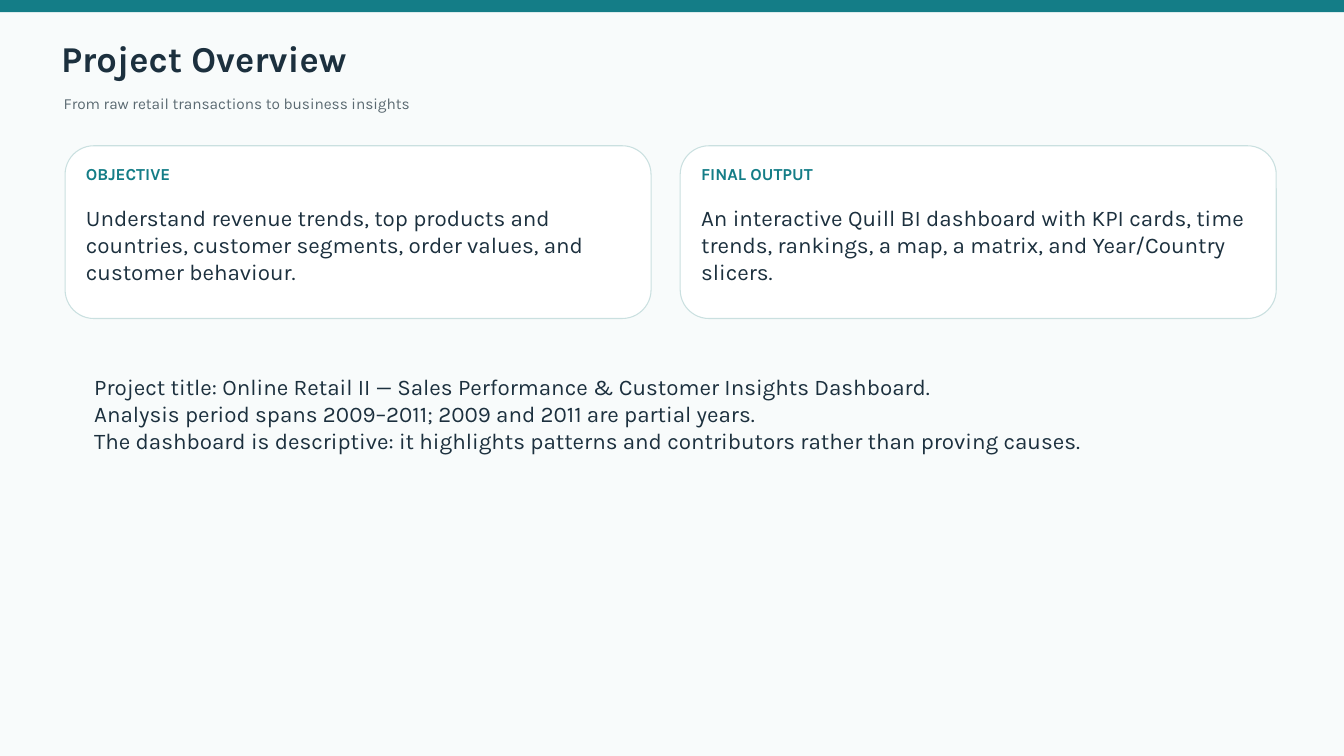
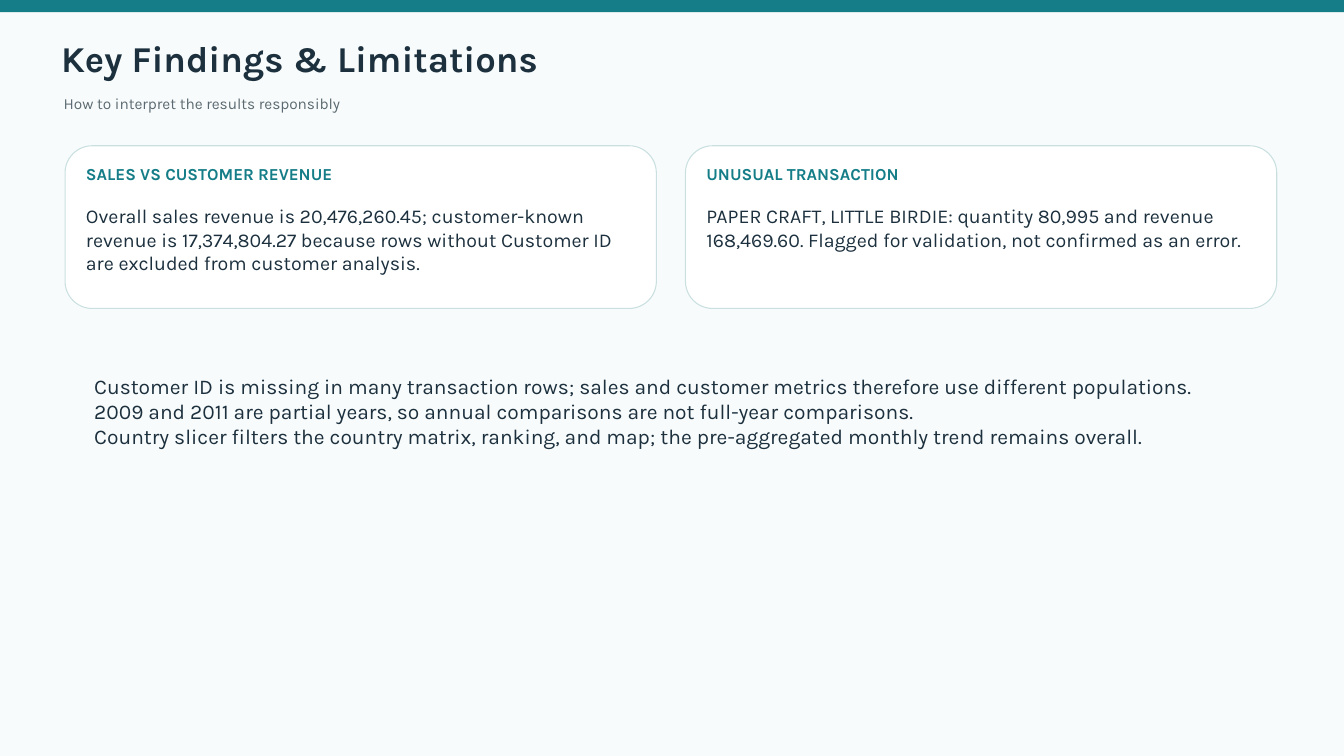
"""Build the two summary slides of the retail sales project."""
from dataclasses import dataclass

from pptx import Presentation
from pptx.dml.color import RGBColor
from pptx.enum.shapes import MSO_SHAPE as Kind
from pptx.enum.text import MSO_AUTO_SIZE as Fit, MSO_ANCHOR as Anchor
from pptx.slide import Slide
from pptx.util import Cm, Pt

PALE = RGBColor(0xF8, 0xFB, 0xFB)
TEAL = RGBColor(0x14, 0x7D, 0x87)
INK = RGBColor(0x1C, 0x30, 0x3E)
GREY = RGBColor(0x5A, 0x69, 0x71)
WHITE = RGBColor(0xFF, 0xFF, 0xFF)
EDGE = RGBColor(0xCA, 0xE0, 0xE0)

FONT = "Karla"
WIDTH = 50.8
LEFT, TOP, GAP, PAD = 2.46, 5.51, 1.1, 0.79


@dataclass(frozen=True)
class Box:
    """Place and size in centimetres."""
    left: float
    top: float
    width: float
    height: float

    def emu(self) -> tuple[Cm, Cm, Cm, Cm]:
        """Give the four lengths for python-pptx."""
        return Cm(self.left), Cm(self.top), Cm(self.width), Cm(self.height)


@dataclass(frozen=True)
class Style:
    """Size, colour and weight of a text."""
    size: float
    color: RGBColor = INK
    bold: bool = False


@dataclass(frozen=True)
class Card:
    """A rounded panel with a label and a body."""
    label: str
    body: str
    width: float


@dataclass(frozen=True)
class Page:
    """The content of one slide."""
    title: str
    lead: str
    cards: tuple[Card, ...]
    height: float
    size: float
    notes: tuple[str, ...]
    notesize: float


TITLE = Style(39, bold=True)
LEAD = Style(16.5, GREY)
LABEL = Style(18, TEAL, True)

PAGES = (
    Page(
        "Project Overview",
        "From raw retail transactions to business insights",
        (
            Card("OBJECTIVE",
                 "Understand revenue trends, top products and countries, "
                 "customer segments, order values, and customer behaviour.",
                 22.15),
            Card("FINAL OUTPUT",
                 "An interactive Quill BI dashboard with KPI cards, time trends, "
                 "rankings, a map, a matrix, and Year/Country slicers.",
                 22.53),
        ),
        6.53, 24,
        (
            "Project title: Online Retail II — Sales Performance & "
            "Customer Insights Dashboard.",
            "Analysis period spans 2009–2011; 2009 and 2011 are partial years.",
            "The dashboard is descriptive: it highlights patterns and "
            "contributors rather than proving causes.",
        ),
        24,
    ),
    Page(
        "Key Findings & Limitations",
        "How to interpret the results responsibly",
        (
            Card("SALES VS CUSTOMER REVENUE",
                 "Overall sales revenue is 20,476,260.45; customer-known revenue "
                 "is 17,374,804.27 because rows without Customer ID are excluded "
                 "from customer analysis.",
                 22.35),
            Card("UNUSUAL TRANSACTION",
                 "PAPER CRAFT, LITTLE BIRDIE: quantity 80,995 and revenue "
                 "168,469.60. Flagged for validation, not confirmed as an error.",
                 22.35),
        ),
        6.15, 21,
        (
            "Customer ID is missing in many transaction rows; sales and "
            "customer metrics therefore use different populations.",
            "2009 and 2011 are partial years, so annual comparisons are not "
            "full-year comparisons.",
            "Country slicer filters the country matrix, ranking, and map; the "
            "pre-aggregated monthly trend remains overall.",
        ),
        22.5,
    ),
)


def write(slide: Slide, box: Box, style: Style, *lines: str) -> None:
    """Add a text box with one paragraph per line."""
    frame = slide.shapes.add_textbox(*box.emu()).text_frame
    frame.margin_left = frame.margin_right = 0
    frame.margin_top = frame.margin_bottom = 0
    frame.word_wrap = True
    frame.auto_size = Fit.SHAPE_TO_FIT_TEXT
    frame.vertical_anchor = Anchor.TOP
    for i, line in enumerate(lines):
        para = frame.add_paragraph() if i else frame.paragraphs[0]
        para.line_spacing = Pt(style.size * 1.2)
        run = para.add_run()
        run.text = line
        font = run.font
        font.name, font.size, font.bold = FONT, Pt(style.size), style.bold
        font.color.rgb = style.color


def panel(slide: Slide, kind: Kind, box: Box, fill: RGBColor,
          edge: RGBColor | None = None) -> None:
    """Add a flat shape, outlined when an edge colour is given."""
    shape = slide.shapes.add_shape(kind, *box.emu())
    shape.shadow.inherit = False
    shape.fill.solid()
    shape.fill.fore_color.rgb = fill
    if edge is None:
        shape.line.fill.background()
    else:
        shape.line.color.rgb = edge
        shape.line.width = Pt(1.13)


def draw(slide: Slide, page: Page) -> None:
    """Draw the whole page."""
    slide.background.fill.solid()
    slide.background.fill.fore_color.rgb = PALE
    panel(slide, Kind.RECTANGLE, Box(0, 0, WIDTH, 0.46), TEAL)
    write(slide, Box(2.31, 1.35, 46.1, 1.7), TITLE, page.title)
    write(slide, Box(2.41, 3.56, 45.34, 0.94), LEAD, page.lead)
    left = LEFT
    for card in page.cards:
        panel(slide, Kind.ROUNDED_RECTANGLE,
              Box(left, TOP, card.width, page.height), WHITE, EDGE)
        inner = card.width - 2 * PAD
        write(slide, Box(left + PAD, TOP + 0.69, inner, 0.94), LABEL, card.label)
        write(slide, Box(left + PAD, TOP + 2.2, inner, page.height - 2.81),
              Style(page.size), card.body)
        left += card.width + GAP
    write(slide, Box(3.56, 14.12, 44.04, 8.7), Style(page.notesize), *page.notes)


def main() -> None:
    """Build and save the deck."""
    deck = Presentation()
    deck.slide_width = Cm(WIDTH)
    deck.slide_height = Cm(WIDTH * 9 / 16)
    for page in PAGES:
        draw(deck.slides.add_slide(deck.slide_layouts[6]), page)
    deck.save("out.pptx")


if __name__ == "__main__":
    main()
